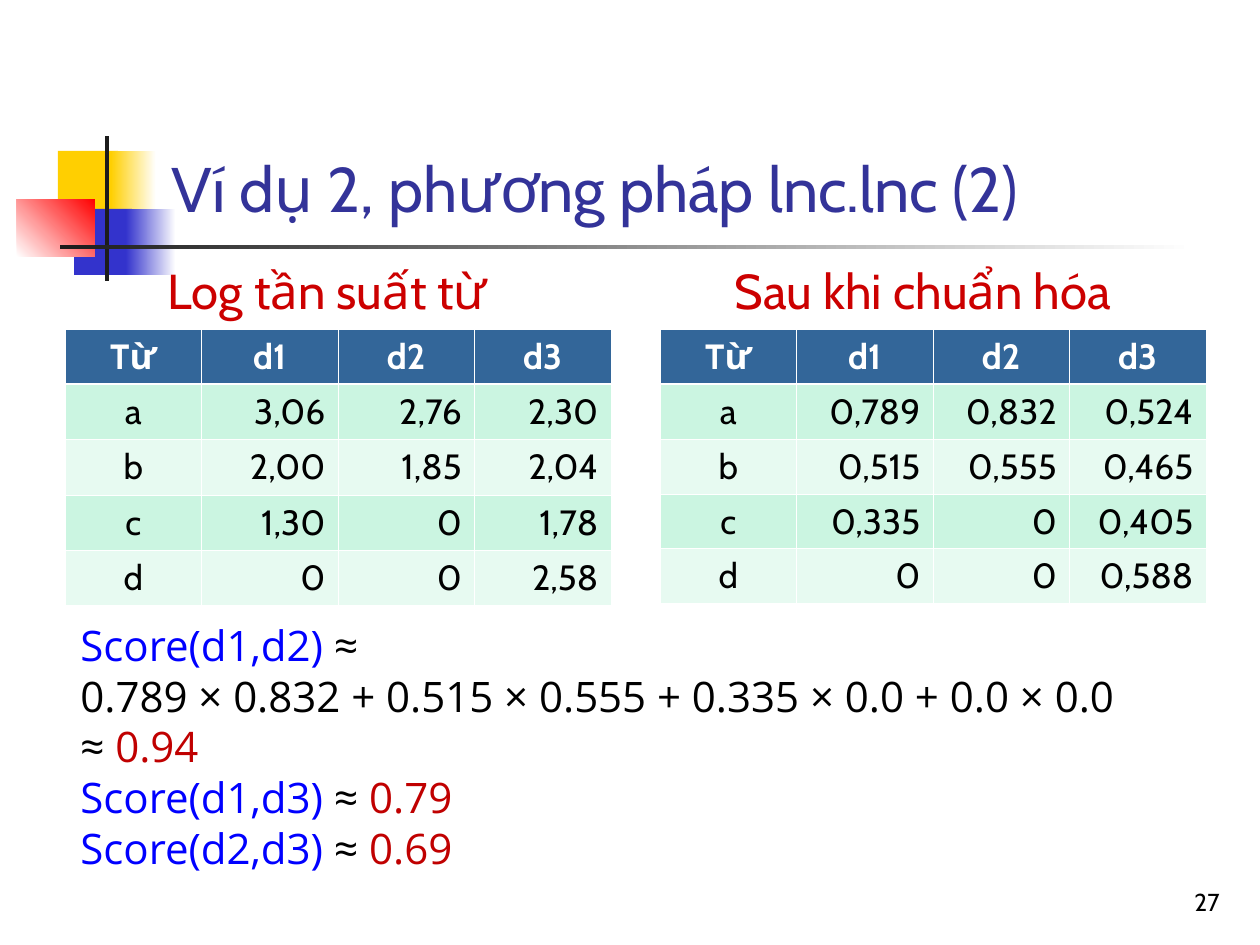
from dataclasses import dataclass

from lxml.etree import SubElement
from pptx import Presentation
from pptx.dml.color import RGBColor
from pptx.enum.shapes import MSO_SHAPE as Preset
from pptx.enum.text import MSO_ANCHOR as Anchor, MSO_AUTO_SIZE as AutoSize, PP_ALIGN as Align
from pptx.oxml.ns import qn
from pptx.util import Emu, Inches, Pt

PX_PER_INCH = 126


@dataclass(frozen=True)
class Theme:
    font: str = "Cabin"
    formula_font: str = "Open Sans"
    title: str = "333399"
    caption: str = "CC0000"
    text: str = "000000"
    score: str = "0000FF"
    result: str = "C00000"
    white: str = "FFFFFF"
    header: str = "336699"
    bands: tuple = ("CBF5E1", "E7FAF1")
    yellow: str = "FFCF01"
    blue: str = "3333CC"
    red: str = "FF0000"
    dark: str = "1C1C1C"
    title_size: int = 36
    caption_size: int = 28
    formula_size: int = 24
    formula_leading: int = 29
    table_size: int = 20
    number_size: int = 14
    thin: float = 0.45
    thick: float = 1.47


def px(*lengths):
    return [Emu(round(length * Inches(1) / PX_PER_INCH)) for length in lengths]


def write(paragraph, text, *, size, color, font, bold=False, align=Align.LEFT):
    paragraph.alignment = align
    run = paragraph.add_run()
    run.text = text
    run.font.size = Pt(size)
    run.font.name = font
    run.font.bold = bold
    run.font.color.rgb = RGBColor.from_string(color)


class SlideBuilder:
    def __init__(self, slide, theme):
        self.slide = slide
        self.theme = theme

    def block(self, box, *colors, angle=0):
        """Add a rectangle filled with one colour or a two-colour gradient."""
        shape = self.slide.shapes.add_shape(Preset.RECTANGLE, *px(*box))
        shape.shadow.inherit = False
        shape.line.fill.background()
        if len(colors) == 1:
            shape.fill.solid()
            shape.fill.fore_color.rgb = RGBColor.from_string(colors[0])
            return
        shape.fill.gradient()
        shape.fill.gradient_angle = angle
        for stop, color in zip(shape.fill.gradient_stops, colors):
            stop.color.rgb = RGBColor.from_string(color)

    def title(self, text, box):
        theme = self.theme
        title = self.slide.shapes.title
        title.left, title.top, title.width, title.height = px(*box)
        title.element.getparent().append(title.element)
        frame = title.text_frame
        frame.auto_size = AutoSize.NONE
        frame.vertical_anchor = Anchor.BOTTOM
        write(frame.paragraphs[0], text, size=theme.title_size,
              color=theme.title, font=theme.font)

    def text_box(self, box, wrap=True, anchor=Anchor.TOP):
        frame = self.slide.shapes.add_textbox(*px(*box)).text_frame
        frame.word_wrap = wrap
        frame.vertical_anchor = anchor
        return frame

    def label(self, text, box, anchor=Anchor.TOP, **text_format):
        frame = self.text_box(box, anchor=anchor)
        write(frame.paragraphs[0], text, font=self.theme.font, **text_format)

    def formulas(self, lines, box):
        theme = self.theme
        frame = self.text_box(box, wrap=False)
        for index, line in enumerate(lines):
            paragraph = frame.add_paragraph() if index else frame.paragraphs[0]
            paragraph.line_spacing = Pt(theme.formula_leading)
            for text, color in line:
                write(paragraph, text, size=theme.formula_size,
                      color=color, font=theme.formula_font)

    def borders(self, cell, **widths):
        properties = cell._tc.get_or_add_tcPr()
        for side in "LRTB":
            width = Pt(widths.get(side, self.theme.thin))
            line = SubElement(properties, qn(f"a:ln{side}"), w=str(width))
            fill = SubElement(line, qn("a:solidFill"))
            SubElement(fill, qn("a:srgbClr"), val=self.theme.white)

    def table(self, rows, box):
        theme = self.theme
        table = self.slide.shapes.add_table(len(rows), len(rows[0]), *px(*box)).table
        table.horz_banding = False
        for row_index, row in enumerate(rows):
            is_header = row_index == 0
            fill = theme.header if is_header else theme.bands[(row_index - 1) % 2]
            edges = {0: {"B": theme.thick}, 1: {"T": theme.thick}}.get(row_index, {})
            for column_index, text in enumerate(row):
                cell = table.cell(row_index, column_index)
                self.borders(cell, **edges)
                cell.fill.solid()
                cell.fill.fore_color.rgb = RGBColor.from_string(fill)
                centred = is_header or column_index == 0
                write(cell.text_frame.paragraphs[0], text, size=theme.table_size,
                      color=theme.white if is_header else theme.text,
                      font=theme.font, bold=is_header,
                      align=Align.CENTER if centred else Align.RIGHT)


def main():
    presentation = Presentation()
    presentation.slide_width, presentation.slide_height = Inches(10), Inches(7.5)
    theme = Theme()
    slide = presentation.slides.add_slide(presentation.slide_layouts[5])
    builder = SlideBuilder(slide, theme)

    builder.block((58, 151, 60, 66), theme.yellow)
    builder.block((111, 151, 45, 66), theme.yellow, theme.white)
    builder.block((74, 209, 58, 66), theme.blue)
    builder.block((126, 209, 50, 66), theme.blue, theme.white)
    builder.block((17, 199, 78, 58), theme.white, theme.red, angle=45)
    builder.block((105, 136, 4, 145), theme.dark)
    builder.block((60, 245, 1134, 4), theme.dark, theme.white)
    builder.title("Ví dụ 2, phương pháp lnc.lnc (2)", (159, 29, 1074, 202))

    header = ("Từ", "d1", "d2", "d3")
    log_frequencies = (
        header,
        ("a", "3,06", "2,76", "2,30"),
        ("b", "2,00", "1,85", "2,04"),
        ("c", "1,30", "0", "1,78"),
        ("d", "0", "0", "2,58"),
    )
    normalized_weights = (
        header,
        ("a", "0,789", "0,832", "0,524"),
        ("b", "0,515", "0,555", "0,465"),
        ("c", "0,335", "0", "0,405"),
        ("d", "0", "0", "0,588"),
    )
    for left, caption, rows in (
        (65, "Log tần suất từ", log_frequencies),
        (660, "Sau khi chuẩn hóa", normalized_weights),
    ):
        builder.table(rows, (left, 329, 546, 275))
        builder.label(caption, (left, 254, 525, 72), size=theme.caption_size,
                      color=theme.caption, align=Align.CENTER)

    builder.formulas((
        (("Score(d1,d2) ", theme.score), ("≈", theme.text)),
        (("0.789 × 0.832 + 0.515 × 0.555 + 0.335 × 0.0 + 0.0 × 0.0", theme.text),),
        (("≈ ", theme.text), ("0.94", theme.result)),
        (("Score(d1,d3)", theme.score), (" ≈ ", theme.text), ("0.79", theme.result)),
        (("Score(d2,d3) ", theme.score), ("≈ ", theme.text), ("0.69", theme.result)),
    ), (68, 613, 1061, 265))
    builder.label("27", (970, 860, 262, 63), anchor=Anchor.BOTTOM,
                  size=theme.number_size, color=theme.text, align=Align.RIGHT)

    presentation.save("out.pptx")


if __name__ == "__main__":
    main()
